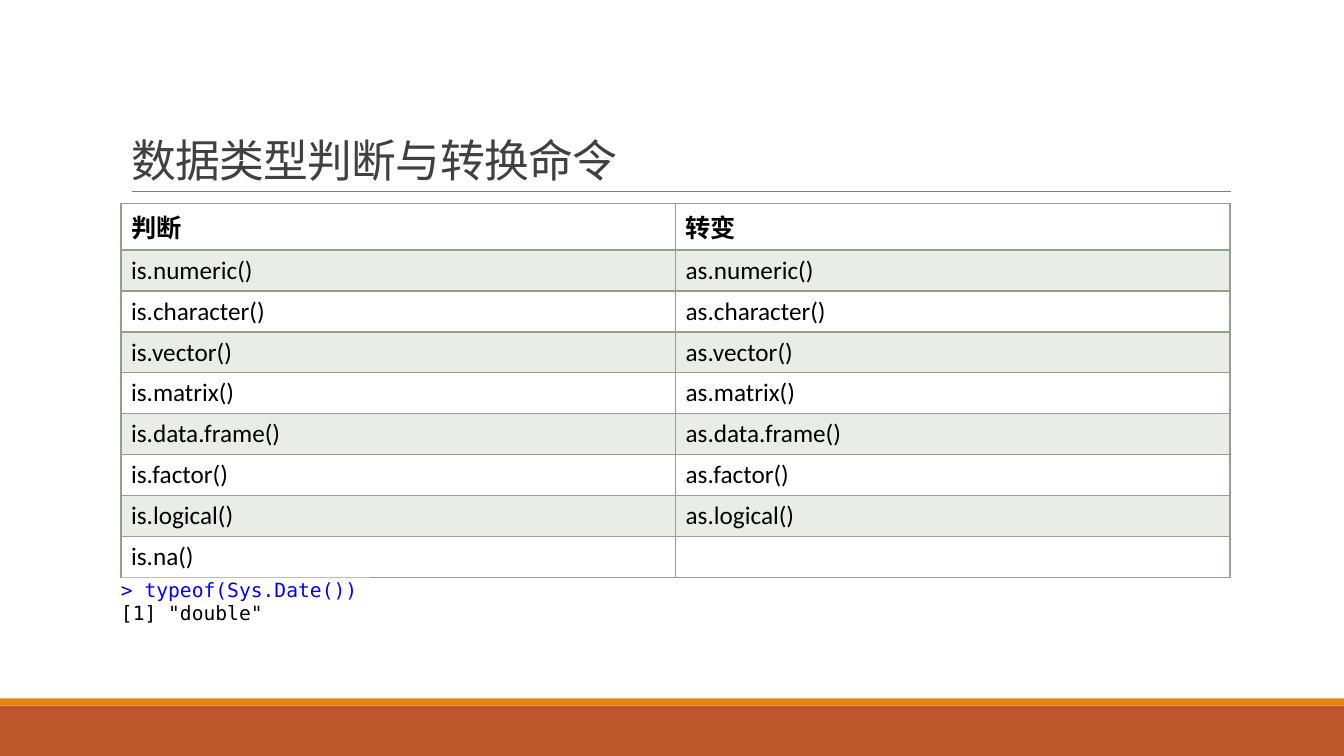
from lxml.etree import SubElement
from pptx import Presentation
from pptx.dml.color import RGBColor
from pptx.enum.shapes import MSO_CONNECTOR as Conn, MSO_SHAPE as Shape
from pptx.enum.text import MSO_ANCHOR as Anchor, MSO_AUTO_SIZE as Auto, PP_ALIGN as Align
from pptx.oxml.ns import qn
from pptx.util import Pt

PX = 9144  # 100 px to the inch
WIDE, HIGH = 1333, 750

RUST = RGBColor(0xBD, 0x58, 0x2C)
ORANGE = RGBColor(0xE4, 0x83, 0x12)
GRAY = RGBColor(0x80, 0x80, 0x80)
DARK = RGBColor(0x40, 0x40, 0x40)
SAGE = RGBColor(0x94, 0xA0, 0x88)
BLACK = RGBColor(0, 0, 0)
WHITE = RGBColor(255, 255, 255)
BLUE = RGBColor(0, 0, 255)

SANS, MONO = "Calibri", "DejaVu Sans Mono"
KINDS = ["numeric", "character", "vector", "matrix", "data.frame", "factor", "logical"]
ROWS = [("判断", "转变")]
ROWS += [(f"is.{kind}()", f"as.{kind}()") for kind in KINDS]
ROWS += [("is.na()", "")]
CODE = [("> typeof(Sys.Date())", BLUE), ('[1] "double"', BLACK)]


def emu(*px):
    return [n * PX for n in px]


def add_run(para, text, size, color, face=SANS, bold=False):
    run = para.add_run()
    run.text = text
    font = run.font
    font.name, font.size, font.bold = face, Pt(size), bold
    font.color.rgb = color
    return run


def add_rect(slide, box, color):
    rect = slide.shapes.add_shape(Shape.RECTANGLE, *emu(*box))
    rect.shadow.inherit = False
    rect.fill.solid()
    rect.fill.fore_color.rgb = color
    rect.line.fill.background()
    return rect


def add_frame(slide, box):
    """Footer bars and the rule under the title."""
    x, y, w, h = box
    add_rect(slide, (x, y + h - 50, w, 50), RUST)
    add_rect(slide, (x, y + h - 57, w, 7), ORANGE)
    ends = emu(x + 131, y + 190, x + 1221, y + 190)
    rule = slide.shapes.add_connector(Conn.STRAIGHT, *ends)
    rule.line.color.rgb = GRAY
    rule.line.width = Pt(0.5)
    SubElement(rule._element.spPr, qn("a:effectLst"))


def add_title(slide, box, text):
    title = slide.shapes.title
    title.left, title.top, title.width, title.height = emu(*box)
    slide.shapes._spTree.append(title._element)  # in front of the frame
    frame = title.text_frame
    frame.word_wrap, frame.auto_size = True, Auto.NONE
    frame.vertical_anchor = Anchor.BOTTOM
    para = frame.paragraphs[0]
    para.alignment, para.line_spacing = Align.LEFT, 0.85
    run = add_run(para, text, 32, DARK)
    run.font._element.set("spc", "-50")


def set_edges(cell, last):
    """Draw four borders; last is the width of the bottom one."""
    props = cell._tc.get_or_add_tcPr()
    for side, width in zip("LRTB", (1, 1, 1, last)):
        line = SubElement(props, qn(f"a:ln{side}"), w=str(Pt(width)))
        fill = SubElement(line, qn("a:solidFill"))
        SubElement(fill, qn("a:srgbClr"), val=str(SAGE))


def tint(cell):
    cell.fill.solid()
    cell.fill.fore_color.rgb = SAGE
    color = cell._tc.tcPr.find(qn("a:solidFill")).find(qn("a:srgbClr"))
    SubElement(color, qn("a:alpha"), val="20000")


def add_grid(slide, box, rows):
    x, y, w, h = emu(*box)
    table = slide.shapes.add_table(len(rows), len(rows[0]), x, y, w, h).table
    table.horz_banding = False
    for i, row in enumerate(rows):
        for j, text in enumerate(row):
            cell = table.cell(i, j)
            set_edges(cell, 1 if i else 2)
            if i % 2:
                tint(cell)
            else:
                cell.fill.background()
            if text:
                add_run(cell.text_frame.paragraphs[0], text, 18, BLACK, bold=i == 0)


def add_code(slide, box, lines):
    frame = add_rect(slide, box, WHITE).text_frame
    frame.margin_left = frame.margin_right = frame.margin_top = frame.margin_bottom = 0
    frame.word_wrap, frame.auto_size = False, Auto.SHAPE_TO_FIT_TEXT
    frame.vertical_anchor = Anchor.MIDDLE
    for i, (text, color) in enumerate(lines):
        para = frame.add_paragraph() if i else frame.paragraphs[0]
        para.alignment = Align.LEFT
        add_run(para, text, 14, color, MONO)


def main():
    deck = Presentation()
    deck.slide_width, deck.slide_height = emu(WIDE, HIGH)
    slide = deck.slides.add_slide(deck.slide_layouts[5])
    add_frame(slide, (0, 0, WIDE, HIGH))
    add_title(slide, (120, 31, 1100, 159), "数据类型判断与转换命令")
    add_grid(slide, (120, 202, 1100, 365), ROWS)
    add_code(slide, (120, 573, 247, 47), CODE)
    deck.save("out.pptx")


if __name__ == "__main__":
    main()
